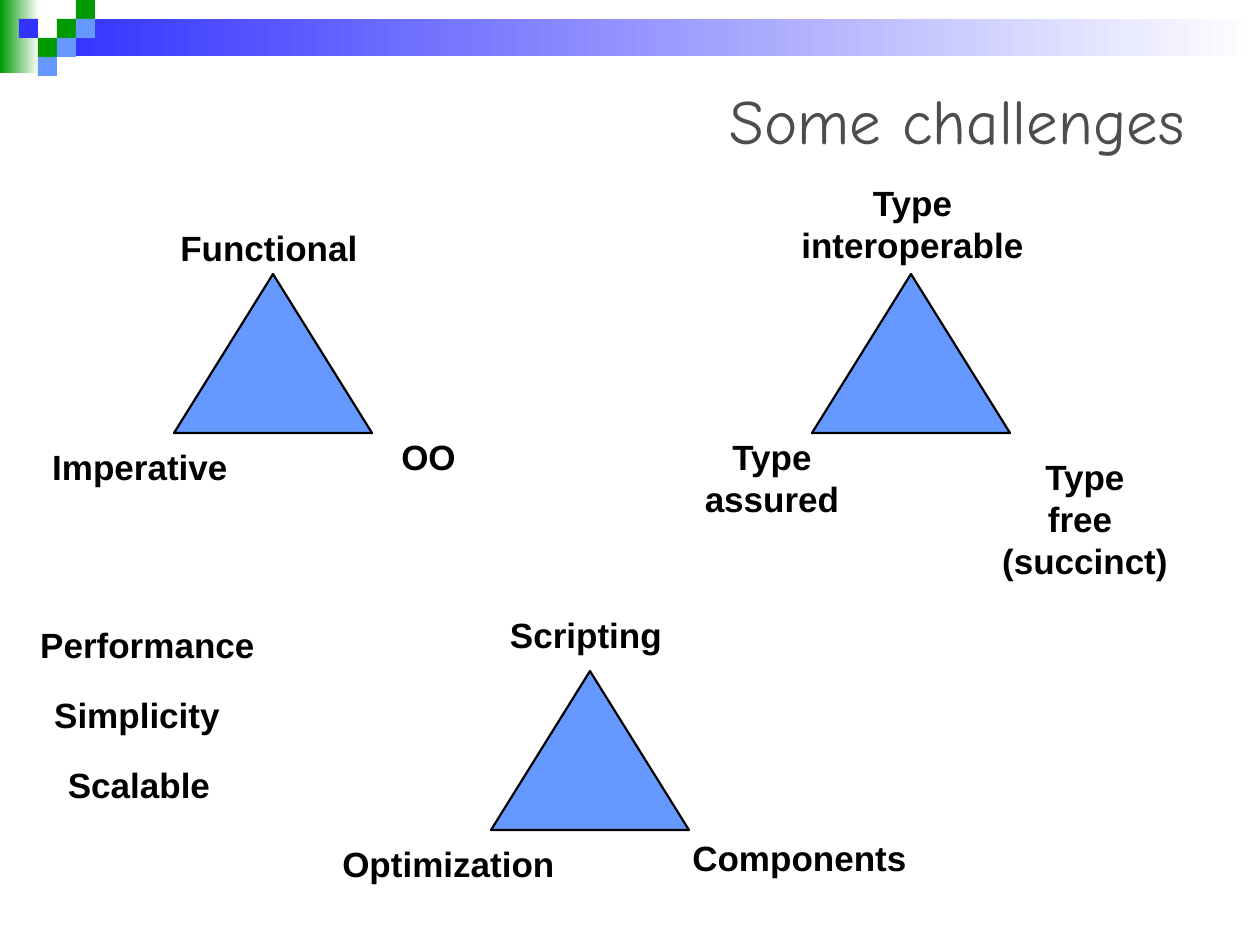
import pptx
import pptx.util
import pptx.dml.color
import pptx.enum.shapes
import pptx.enum.text
from dataclasses import dataclass


@dataclass(frozen=True)
class Theme:
    green: str = "009900"
    blue: str = "3333FF"
    sky: str = "6699FF"
    white: str = "FFFFFF"
    black: str = "000000"
    grey: str = "4D4D4D"
    head: str = "Comic Neue"
    body: str = "Arial"
    big: int = 36
    small: int = 20


THEME = Theme()
TITLE = "Some challenges"

# left, top, width, height, first colour
BANDS = [(0, 0, 39, 73, THEME.green), (57, 19, 1203, 37, THEME.blue)]

# column, row, colour
TILE = 19
TILES = [
    (3, 1, THEME.green), (4, 0, THEME.green), (4, 1, THEME.sky),
    (2, 2, THEME.green), (1, 1, THEME.blue), (3, 2, THEME.sky),
    (2, 3, THEME.sky),
]

# left, top
PEAKS = [(491, 671), (174, 274), (812, 274)]
PEAK = (198, 159)

# left, top, width, lines
LABELS = [
    (168, 220, 202, "Functional"),
    (40, 439, 200, "Imperative"),
    (389, 429, 79, "OO"),
    (789, 175, 247, "Type\ninteroperable"),
    (692, 429, 160, "Type\nassured"),
    (990, 449, 190, "Type\nfree \n(succinct)"),
    (498, 607, 176, "Scripting"),
    (330, 836, 237, "Optimization"),
    (680, 830, 239, "Components"),
    (28, 617, 239, "Performance"),
    (42, 687, 190, "Simplicity"),
    (55, 757, 168, "Scalable"),
]
LINE, INSET, SIDE = 42, 13, 11

KIND = pptx.enum.shapes.MSO_SHAPE
ALIGN = pptx.enum.text.PP_ALIGN
ANCHOR = pptx.enum.text.MSO_ANCHOR
FIT = pptx.enum.text.MSO_AUTO_SIZE


def px(*sizes):
    return [pptx.util.Emu(round(size * 914400 / 126)) for size in sizes]


def rgb(code):
    return pptx.dml.color.RGBColor.from_string(code)


def draw(slide, kind, box, color, edge=None, fade=None):
    shape = slide.shapes.add_shape(kind, *px(*box))
    shape.shadow.inherit = False
    if fade:
        shape.fill.gradient()
        shape.fill.gradient_angle = 0
        for stop, code, place in zip(shape.fill.gradient_stops, (color, fade), (0, 1)):
            stop.color.rgb = rgb(code)
            stop.position = place
    else:
        shape.fill.solid()
        shape.fill.fore_color.rgb = rgb(color)
    if edge:
        shape.line.color.rgb = rgb(edge)
        shape.line.width = pptx.util.Pt(1.25)
    else:
        shape.line.fill.background()


def style(frame, align, face, size, color, bold):
    for para in frame.paragraphs:
        para.alignment = align
        for run in para.runs:
            font = run.font
            font.name, font.size, font.bold = face, pptx.util.Pt(size), bold
            font.color.rgb = rgb(color)


def label(slide, left, top, width, text):
    high = INSET + LINE * len(text.split("\n"))
    frame = slide.shapes.add_textbox(*px(left, top, width, high)).text_frame
    frame.word_wrap = False
    frame.auto_size = FIT.SHAPE_TO_FIT_TEXT
    frame.margin_left, frame.margin_right = px(SIDE, SIDE)
    frame.text = text
    style(frame, ALIGN.CENTER, THEME.body, THEME.small, THEME.black, True)


def main():
    deck = pptx.Presentation()
    deck.slide_width, deck.slide_height = px(1260, 945)
    slide = deck.slides.add_slide(deck.slide_layouts[5])

    for *box, color in BANDS:
        draw(slide, KIND.RECTANGLE, box, color, fade=THEME.white)
    for col, row, color in TILES:
        draw(slide, KIND.RECTANGLE, (col * TILE, row * TILE, TILE, TILE), color)

    title = slide.shapes.title
    title.left, title.top, title.width, title.height = px(63, 63, 1134, 112)
    title.text_frame.text = TITLE
    title.text_frame.vertical_anchor = ANCHOR.MIDDLE
    style(title.text_frame, ALIGN.RIGHT, THEME.head, THEME.big, THEME.grey, False)

    for spot in PEAKS:
        draw(slide, KIND.ISOSCELES_TRIANGLE, spot + PEAK, THEME.sky, edge=THEME.black)
    for item in LABELS:
        label(slide, *item)

    deck.save("out.pptx")


if __name__ == "__main__":
    main()
